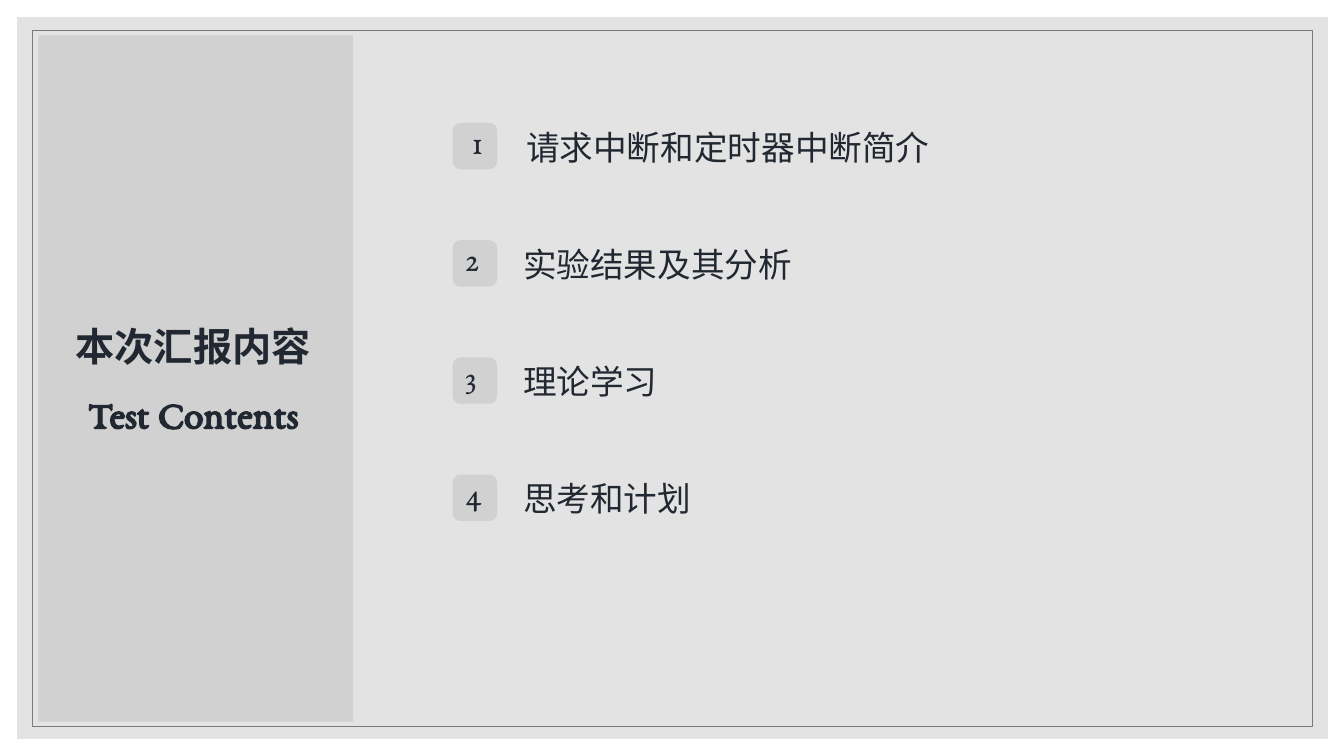
from pptx import Presentation
from pptx.dml.color import RGBColor
from pptx.enum import shapes, text
from pptx.util import Inches, Pt

FONT = "EB Garamond"
COLORS = {"page": "E4E3E3", "panel": "D1D1D1", "frame": "797A7E", "ink": "222831"}
TITLES = ["本次汇报内容", "Test Contents"]
# number, its left inset, topic, topic left, topic width
TOPICS = [
    ("1", 0.18, "请求中断和定时器中断简介", 5.12, 6.81),
    ("2", 0.1, "实验结果及其分析", 5.09, 3.28),
    ("3", 0.1, "理论学习", 5.09, 3.28),
    ("4", 0.1, "思考和计划", 5.09, 4.95),
]
TOP, PITCH = 1.22, 1.163

deck = Presentation()
deck.slide_width, deck.slide_height = Inches(13.33), Inches(7.5)
slide = deck.slides.add_slide(deck.slide_layouts[6])


def color(name):
    return RGBColor.from_string(COLORS[name])


def add_box(kind, area, fill=None, line=None):
    box = slide.shapes.add_shape(kind, *map(Inches, area))
    box.shadow.inherit = False
    if fill:
        box.fill.solid()
        box.fill.fore_color.rgb = color(fill)
    else:
        box.fill.background()
    if line:
        box.line.color.rgb = color(line)
        box.line.width = Pt(0.5)
    else:
        box.line.fill.background()
    return box


def write(box, words, size, align, spacing, bold=False, wrap=True):
    frame = box.text_frame
    frame.word_wrap = wrap
    frame.vertical_anchor = text.MSO_ANCHOR.MIDDLE
    para = frame.paragraphs[0]
    para.alignment = align
    para.line_spacing = spacing
    run = para.add_run()
    run.text = words
    run.font.name = FONT
    run.font.size = Pt(size)
    run.font.bold = bold
    run.font.color.rgb = color("ink")


def add_label(area, *style, **more):
    write(slide.shapes.add_textbox(*map(Inches, area)), *style, **more)


RECT = shapes.MSO_SHAPE.RECTANGLE
ROUND = shapes.MSO_SHAPE.ROUNDED_RECTANGLE
LEFT, CENTER = text.PP_ALIGN.LEFT, text.PP_ALIGN.CENTER

add_box(RECT, (0.17, 0.17, 13, 7.16), fill="page")
add_box(RECT, (0.32, 0.3, 12.7, 6.91), line="frame")
add_box(RECT, (0.38, 0.35, 3.12, 6.81), fill="panel")

for i, title in enumerate(TITLES):
    add_label((0.49, 3.18 + 0.66 * i, 2.85, 0.57), title, 28, CENTER, 0.9, bold=True)

for i, (number, inset, topic, left, width) in enumerate(TOPICS):
    top = TOP + PITCH * i
    badge = add_box(ROUND, (4.49, top, 0.44, 0.46), fill="panel")
    badge.text_frame.margin_left = Inches(inset)
    badge.text_frame.margin_right = 0
    write(badge, number, 24, LEFT, 0.7)
    add_label((left, top, width, 0.52), topic, 24, LEFT, 0.9)

deck.save("out.pptx")
